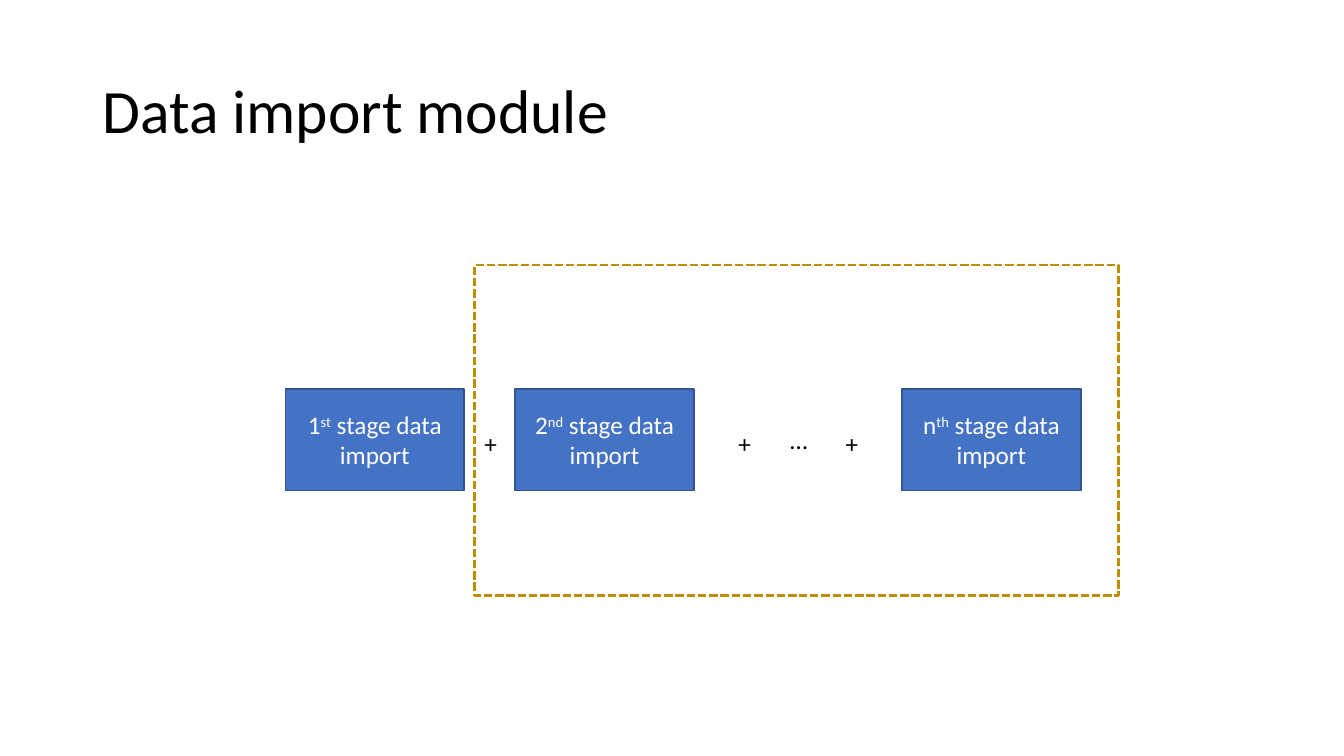
import dataclasses

import pptx
import pptx.dml.color
import pptx.enum.dml
import pptx.enum.shapes
import pptx.enum.text
import pptx.util

Cm = pptx.util.Cm
Pt = pptx.util.Pt
Align = pptx.enum.text.PP_ALIGN
Anchor = pptx.enum.text.MSO_ANCHOR


@dataclasses.dataclass(frozen=True)
class Theme:
    """Hold the colours, font and type sizes of the slide."""
    font: str = "Calibri"
    head: int = 44
    body: int = 18
    black: str = "000000"
    white: str = "FFFFFF"
    blue: str = "4472C4"
    navy: str = "325491"
    gold: str = "BD8E00"


THEME = Theme()


def tint(code):
    """Turn a hex code into a colour."""
    return pptx.dml.color.RGBColor.from_string(code)


def write(frame, *parts, size=THEME.body, color=THEME.black,
          align=Align.LEFT, anchor=Anchor.TOP, wrap=True, space=1.0):
    """Write one paragraph, raising every second part as superscript."""
    frame.word_wrap = wrap
    frame.vertical_anchor = anchor
    line = frame.paragraphs[0]
    line.alignment = align
    line.line_spacing = space
    for index, part in enumerate(parts):
        run = line.add_run()
        run.text = part
        run.font.name = THEME.font
        run.font.size = Pt(size)
        run.font.color.rgb = tint(color)
        if index % 2:
            run.font._element.set("baseline", "30000")


def add_box(slide, left, top, width, height, fill, edge, weight):
    """Add a flat, outlined rectangle."""
    box = slide.shapes.add_shape(pptx.enum.shapes.MSO_SHAPE.RECTANGLE,
                                 Cm(left), Cm(top), Cm(width), Cm(height))
    box.shadow.inherit = False
    box.fill.solid()
    box.fill.fore_color.rgb = tint(fill)
    box.line.color.rgb = tint(edge)
    box.line.width = Pt(weight)
    return box


def add_sign(slide, text, left, top, width):
    """Add a sign that sits between two stages."""
    sign = slide.shapes.add_textbox(Cm(left), Cm(top), Cm(width), Cm(1.02))
    write(sign.text_frame, text, wrap=False)
    sign.text_frame.auto_size = pptx.enum.text.MSO_AUTO_SIZE.SHAPE_TO_FIT_TEXT


def add_title(slide, text, left, top, width, height):
    """Place and fill the title."""
    title = slide.shapes.title
    title.left, title.top = Cm(left), Cm(top)
    title.width, title.height = Cm(width), Cm(height)
    write(title.text_frame, text, size=THEME.head, anchor=Anchor.MIDDLE,
          space=0.9)


def add_flow(slide, left, top, width, height):
    """Draw the chain of stages and the frame around the later ones."""
    inset = 4.77
    frame = add_box(slide, left + inset, top, width - inset, height,
                    THEME.white, THEME.gold, 2)
    frame.line.dash_style = pptx.enum.dml.MSO_LINE.SQUARE_DOT

    stages = ((0, "1", "st"), (5.79, "2", "nd"), (15.54, "n", "th"))
    for shift, rank, suffix in stages:
        stage = add_box(slide, left + shift, top + 3.12, 4.51, 2.56,
                        THEME.blue, THEME.navy, 1)
        write(stage.text_frame, rank, suffix, " stage data import",
              color=THEME.white, align=Align.CENTER, anchor=Anchor.MIDDLE)

    for shift in (inset, 11.17, 13.87):
        add_sign(slide, "+", left + shift, top + 4, 0.84)
    add_sign(slide, "…", left + 12.47, top + 3.89, 0.97)


def main():
    """Build and save the slide."""
    deck = pptx.Presentation()
    deck.slide_width, deck.slide_height = Cm(33.87), Cm(19.05)
    slide = deck.slides.add_slide(deck.slide_layouts.get_by_name("Title Only"))
    add_title(slide, "Data import module", 2.33, 1.01, 29.21, 3.68)
    add_flow(slide, 7.19, 6.68, 21, 8.33)
    deck.save("out.pptx")


main()
